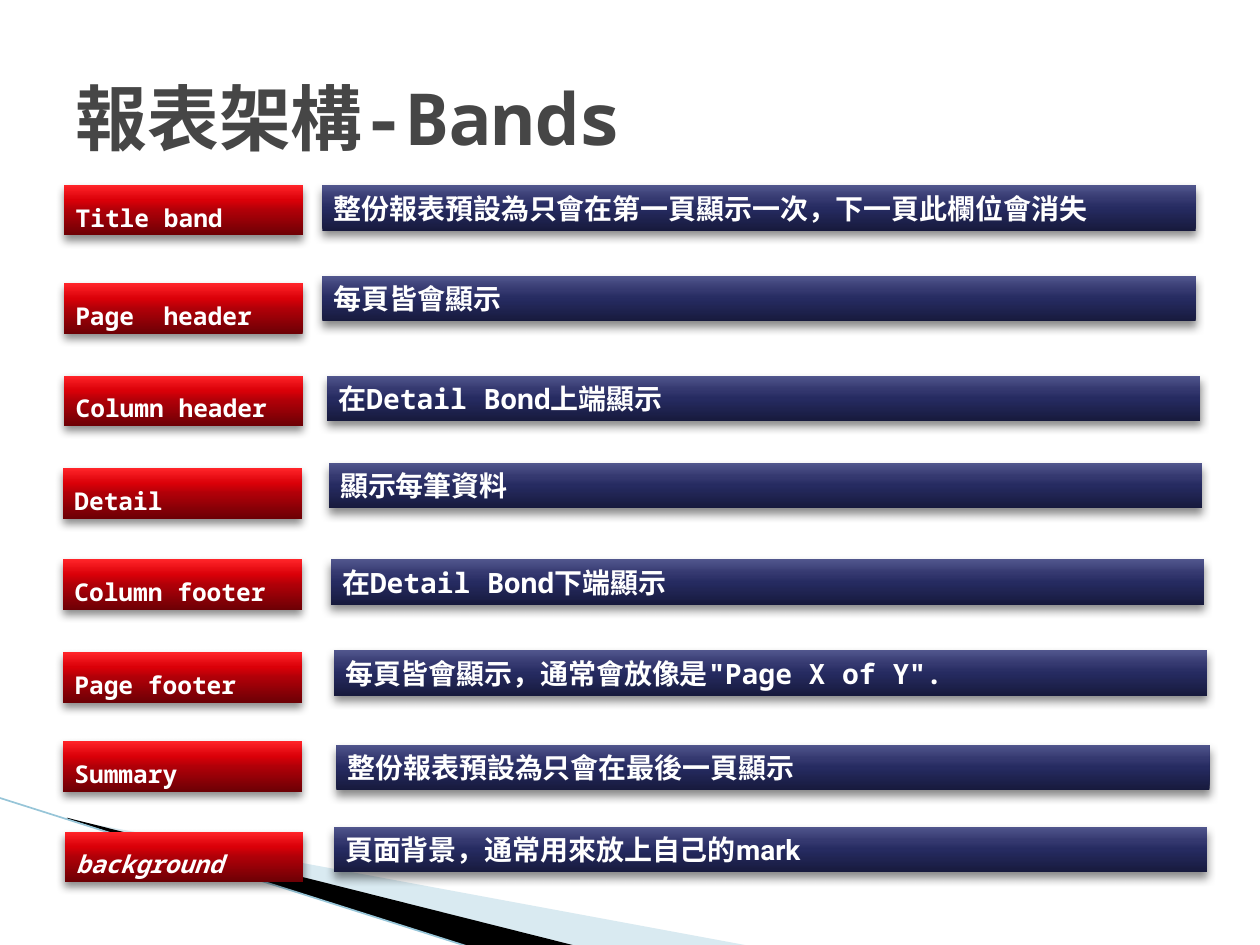
from lxml.etree import SubElement
from pptx import Presentation
from pptx.dml.color import RGBColor
from pptx.enum.shapes import MSO_CONNECTOR, MSO_SHAPE
from pptx.enum.text import MSO_ANCHOR, MSO_AUTO_SIZE, PP_ALIGN
from pptx.oxml import parse_xml
from pptx.oxml.ns import nsdecls, qn
from pptx.util import Pt

COLORS = {"title": "464646", "text": "FFFFFF", "wedge": "A0CBDC",
          "stripe": "000000", "edge": "97C5D8", "shadow": "000000"}
RED = [(0, "6D0005"), (50, "B00008"), (70, "DA0008"), (100, "FF2429")]
NAVY = [(0, "171A3D"), (50, "262B61"), (70, "353970"), (100, "51568D")]
MONO, SANS = "Noto Sans Mono", "Roboto"

# label, label left, label top, description, bar left, bar top, bar font
BANDS = [
    ("Title band", 36.7, 105.8, "整份報表預設為只會在第一頁顯示一次，下一頁此欄位會消失", 184.3, 105.8, MONO),
    ("Page  header", 36.5, 162, "每頁皆會顯示", 184.3, 157.7, SANS),
    ("Column header", 36.7, 214.6, "在Detail Bond上端顯示", 187, 214.6, MONO),
    ("Detail", 36, 267.6, "顯示每筆資料", 187.9, 264.4, MONO),
    ("Column footer", 36, 319.7, "在Detail Bond下端顯示", 189, 319.7, MONO),
    ("Page footer", 36, 372.7, "每頁皆會顯示，通常會放像是\"Page X of Y\".", 190.8, 371.5, MONO),
    ("Summary", 36, 423.6, "整份報表預設為只會在最後一頁顯示", 192.2, 425.5, MONO),
    ("background", 36.9, 475.2, "頁面背景，通常用來放上自己的mark", 190.8, 472.4, SANS),
]


def style_run(r, font, size, color):
    r.font.name, r.font.size, r.font.bold = font, Pt(size), True
    r.font.color.rgb = RGBColor.from_string(COLORS[color])
    SubElement(r.font._element, qn("a:ea")).set("typeface", font)


def add_box(s, text, left, top, width, height, stops, font, size):
    sp = s.shapes.add_shape(MSO_SHAPE.RECTANGLE, Pt(left), Pt(top), Pt(width), Pt(height))
    sp.line.fill.background()
    # Vertical gradient from the bottom up, and a soft shadow below
    gs = "".join(f'<a:gs pos="{pos * 1000}"><a:srgbClr val="{c}"/></a:gs>' for pos, c in stops)
    sp._element.spPr.find(qn("a:ln")).addprevious(parse_xml(
        f'<a:gradFill {nsdecls("a")} rotWithShape="1"><a:gsLst>{gs}</a:gsLst>'
        '<a:lin ang="16200000" scaled="0"/></a:gradFill>'))
    sp._element.spPr.append(parse_xml(
        f'<a:effectLst {nsdecls("a")}><a:outerShdw blurRad="{Pt(5)}" dist="{Pt(3)}" '
        f'dir="5400000" rotWithShape="0"><a:srgbClr val="{COLORS["shadow"]}">'
        '<a:alpha val="45000"/></a:srgbClr></a:outerShdw></a:effectLst>'))
    tf = sp.text_frame
    tf.text = text
    tf.word_wrap = True
    tf.auto_size = MSO_AUTO_SIZE.SHAPE_TO_FIT_TEXT
    tf.vertical_anchor = MSO_ANCHOR.MIDDLE
    tf.margin_left = tf.margin_right = Pt(6.5)
    tf.margin_top = tf.margin_bottom = Pt(3.6)
    p = tf.paragraphs[0]
    p.alignment = PP_ALIGN.LEFT
    style_run(p.runs[0], font, size, "text")
    return p


prs = Presentation()
prs.slide_width, prs.slide_height = Pt(720), Pt(540)
s = prs.slides.add_slide(prs.slide_layouts[5])

# Corner decoration
for points, color in [
    ([(39.6, 468.5), (428.4, 540.5), (328.3, 540.5), (39.6, 468)], "wedge"),
    ([(38.2, 467.3), (329, 540.5), (267.8, 541), (38.9, 468)], "stripe"),
]:
    corners = [(Pt(x), Pt(y)) for x, y in points]
    builder = s.shapes.build_freeform(*corners[0])
    builder.add_line_segments(corners[1:], close=True)
    sp = builder.convert_to_shape()
    sp.shadow.inherit = False
    sp.line.fill.background()
    sp.fill.solid()
    sp.fill.fore_color.rgb = RGBColor.from_string(COLORS[color])
    if color == "wedge":
        clr = sp._element.spPr.find(".//" + qn("a:srgbClr"))
        SubElement(clr, qn("a:alpha")).set("val", "40000")

edge = s.shapes.add_connector(MSO_CONNECTOR.STRAIGHT, Pt(-0.7), Pt(455.8), Pt(267.8), Pt(541))
edge.line.width = Pt(0.95)
edge.line.color.rgb = RGBColor.from_string(COLORS["edge"])
SubElement(edge._element.spPr, qn("a:effectLst"))

# Title
title = s.shapes.title
title.left, title.top, title.width, title.height = Pt(36), Pt(21.6), Pt(648), Pt(90)
tf = title.text_frame
tf.text = "報表架構-Bands"
tf.auto_size = MSO_AUTO_SIZE.NONE
tf.vertical_anchor = MSO_ANCHOR.MIDDLE
tf.paragraphs[0].alignment = PP_ALIGN.LEFT
style_run(tf.paragraphs[0].runs[0], MONO, 41, "title")

# Band labels with their descriptions
for label, x, y, description, bar_x, bar_y, font in BANDS:
    p = add_box(s, label, x, y, 136.5, 28.8, RED, MONO, 14)
    p.line_spacing = 1.5
    p.runs[0].font.italic = True if label == "background" else None
    add_box(s, description, bar_x, bar_y, 499, 26, NAVY, font, 16)

prs.save("out.pptx")
